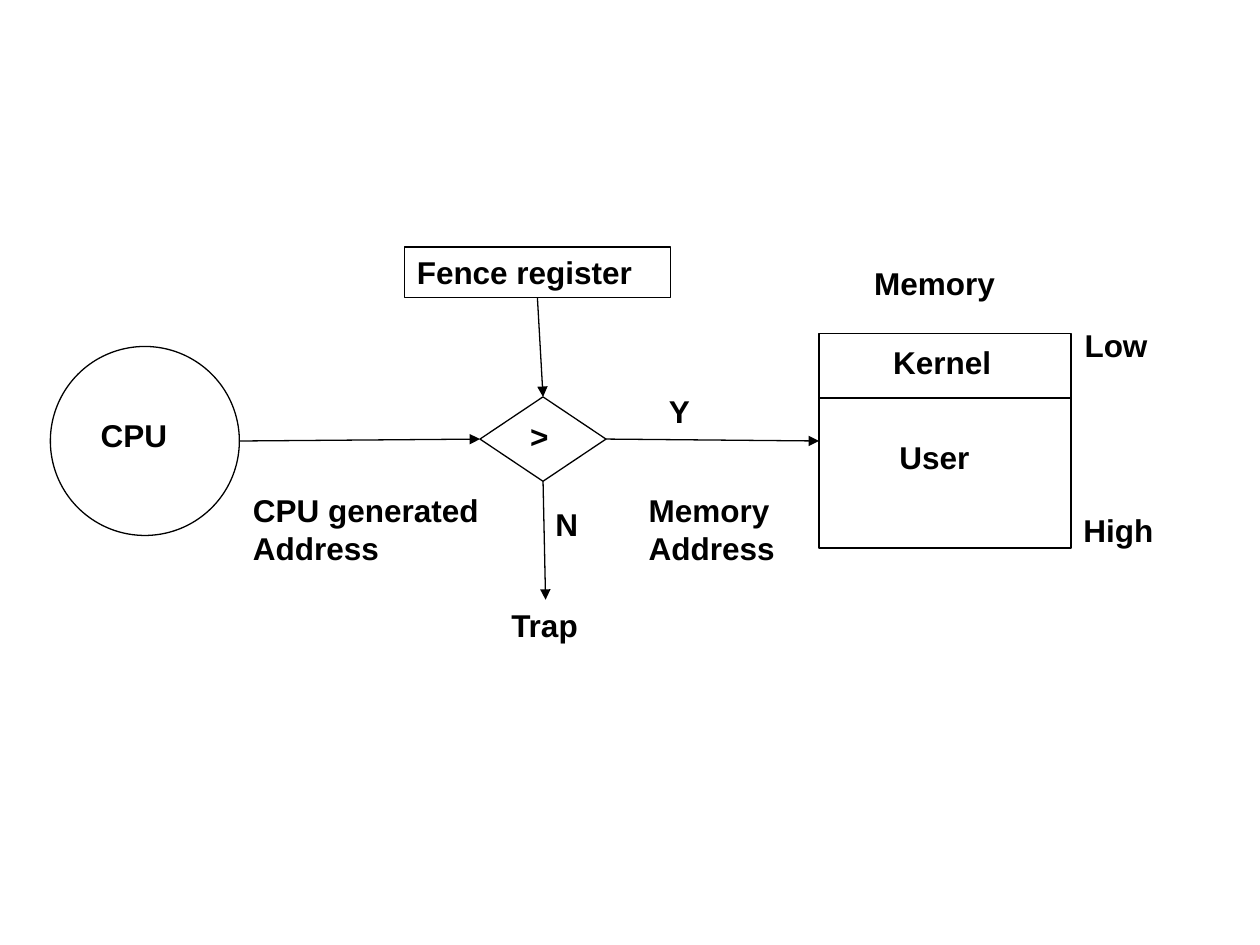
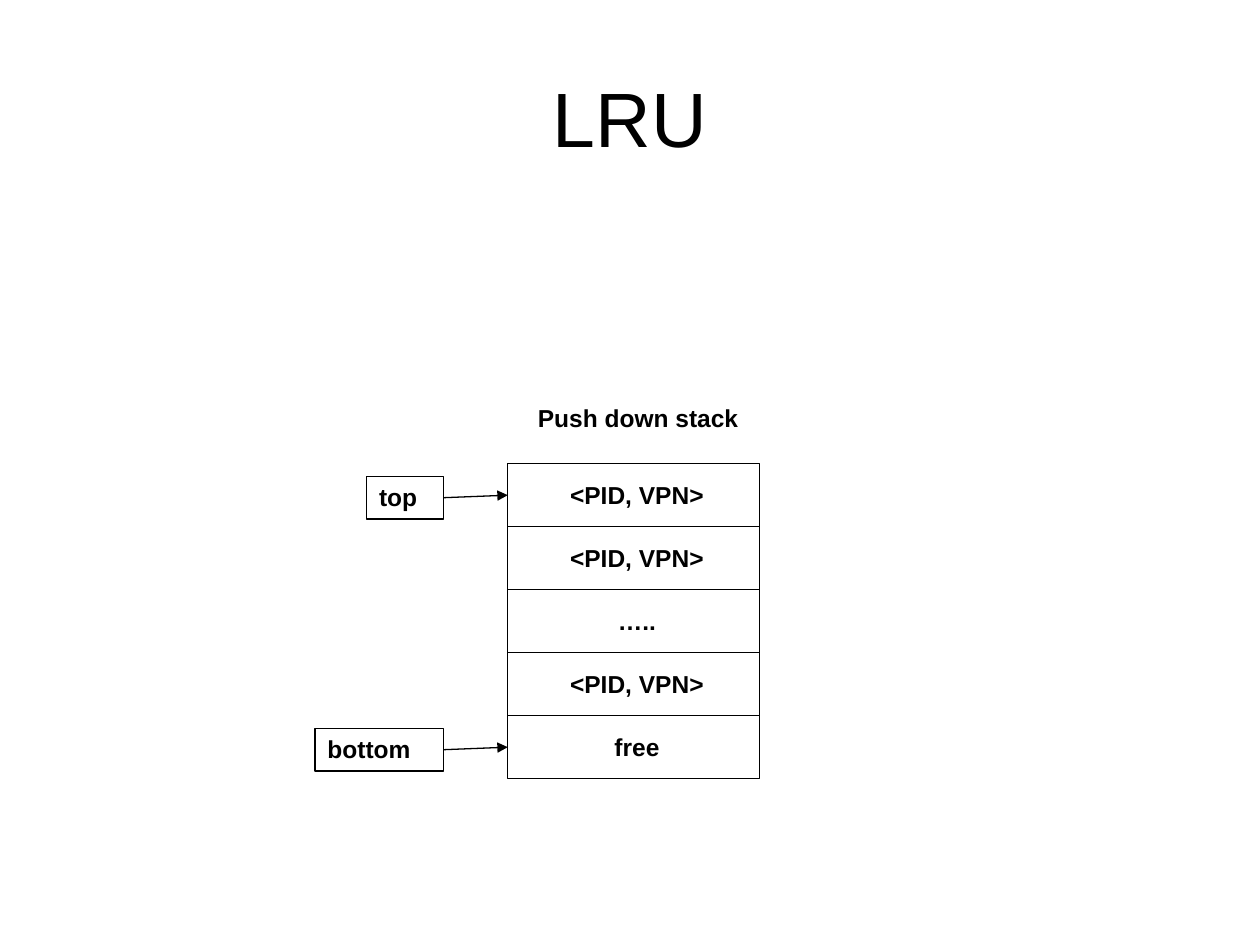
from typing import NamedTuple, Optional

from lxml import etree
from pptx import Presentation
from pptx import util as u
from pptx.dml.color import RGBColor
from pptx.enum import shapes, text
from pptx.oxml.ns import qn

BLACK = RGBColor(0x00, 0x00, 0x00)
FONT = "Arial"
THIN = u.Pt(0.75)
RECT = shapes.MSO_SHAPE.RECTANGLE
TOP, LEFT, BOTTOM, RIGHT = range(4)


class Box(NamedTuple):
    left: float
    top: float
    width: float
    height: float
    words: str = ""
    kind: shapes.MSO_SHAPE = RECT


class End(NamedTuple):
    x: float = 0
    y: float = 0
    shape: Optional[object] = None
    side: int = TOP


def write(shape, words: str, size: int = 18, bold: bool = True,
          align=text.PP_ALIGN.LEFT, anchor=text.MSO_ANCHOR.TOP,
          grow: bool = True, inset: float = 0.1) -> None:
    frame = shape.text_frame
    frame.text = words
    frame.word_wrap = not grow
    frame.auto_size = (text.MSO_AUTO_SIZE.SHAPE_TO_FIT_TEXT if grow
                       else text.MSO_AUTO_SIZE.NONE)
    frame.vertical_anchor = anchor
    frame.margin_left = u.Inches(inset)
    for line in frame.paragraphs:
        line.alignment = align
        font = line.font
        font.name, font.size, font.bold = FONT, u.Pt(size), bold
        font.color.rgb = BLACK


def place(box: Box) -> list:
    return [u.Inches(n) for n in box[:4]]


def label(slide, box: Box, size: int = 18):
    shape = slide.shapes.add_textbox(*place(box))
    write(shape, box.words, size=size)
    return shape


def outline(slide, box: Box, **style):
    shape = slide.shapes.add_shape(box.kind, *place(box))
    shape.shadow.inherit = False
    shape.fill.background()
    shape.line.color.rgb = BLACK
    shape.line.width = THIN
    if box.words:
        write(shape, box.words, **style)
    return shape


def link(slide, start: End, stop: End, arrow: bool = True) -> None:
    line = slide.shapes.add_connector(
        shapes.MSO_CONNECTOR.STRAIGHT,
        *[u.Inches(n) for n in (start.x, start.y, stop.x, stop.y)])
    if start.shape is not None:
        line.begin_connect(start.shape, start.side)
    if stop.shape is not None:
        line.end_connect(stop.shape, stop.side)
    line.line.color.rgb = BLACK
    line.line.width = THIN
    if arrow:
        tail = etree.SubElement(line.line._get_or_add_ln(), qn("a:tailEnd"))
        tail.set("type", "triangle")
    etree.SubElement(line._element.spPr, qn("a:effectLst"))


def draw_fence(deck) -> None:
    slide = deck.slides.add_slide(deck.slide_layouts[6])
    outline(slide, Box(0.4, 2.75, 1.5, 1.5, kind=shapes.MSO_SHAPE.OVAL))
    memory = outline(slide, Box(6.5, 2.65, 2, 1.7))
    test = outline(slide, Box(3.81, 3.15, 1, 0.67,
                              kind=shapes.MSO_SHAPE.FLOWCHART_DECISION))
    fence = outline(slide, Box(3.21, 1.96, 2.11, 0.4, "Fence register"))
    trap = label(slide, Box(3.96, 4.76, 0.74, 0.4, "Trap"))
    for box in (
        Box(0.7, 3.25, 0.73, 0.4, "CPU"),
        Box(6.84, 2.05, 1.36, 0.4, "Memory"),
        Box(1.91, 3.85, 2.2, 0.7, "CPU generated\nAddress"),
        Box(5.05, 3.85, 1.36, 0.7, "Memory\nAddress"),
        Box(4.11, 3.26, 0.34, 0.4, ">"),
        Box(5.21, 3.06, 0.43, 0.4, "Y"),
        Box(4.31, 3.96, 0.45, 0.4, "N"),
        Box(6.99, 2.67, 1.11, 0.4, "Kernel"),
        Box(7.04, 3.43, 0.96, 0.4, "User"),
        Box(8.51, 2.54, 0.84, 0.4, "Low"),
        Box(8.5, 4.01, 0.89, 0.4, "High"),
    ):
        label(slide, box)
    link(slide, End(1.9, 3.5), End(shape=test, side=LEFT))
    link(slide, End(shape=test, side=RIGHT), End(shape=memory, side=LEFT))
    link(slide, End(shape=fence, side=BOTTOM), End(shape=test, side=TOP))
    link(slide, End(shape=test, side=BOTTOM), End(shape=trap, side=TOP))
    link(slide, End(6.5, 3.16), End(8.5, 3.16), arrow=False)


def draw_stack(deck) -> None:
    slide = deck.slides.add_slide(deck.slide_layouts[5])
    title = slide.shapes.title
    title.left, title.top, title.width, title.height = place(
        Box(0.5, 0.3, 9, 1.25))
    write(title, "LRU", size=44, bold=False, grow=False,
          align=text.PP_ALIGN.CENTER, anchor=text.MSO_ANCHOR.MIDDLE)
    label(slide, Box(4.17, 3.15, 1.79, 0.34, "Push down stack"), size=14)
    entry = "<PID, VPN>"
    cells = [
        outline(slide, Box(4.03, 3.68 + 0.5 * row, 2, 0.5, words),
                size=14, grow=False, inset=0.15,
                align=text.PP_ALIGN.CENTER, anchor=text.MSO_ANCHOR.MIDDLE)
        for row, words in enumerate((entry, entry, "…..", entry, "free"))
    ]
    for box, cell in ((Box(2.91, 3.78, 0.61, 0.34, "top"), cells[0]),
                      (Box(2.5, 5.78, 1.02, 0.34, "bottom"), cells[-1])):
        mark = outline(slide, box, size=14)
        link(slide, End(shape=mark, side=RIGHT), End(shape=cell, side=LEFT))


def main() -> None:
    deck = Presentation()
    deck.slide_width, deck.slide_height = u.Inches(10), u.Inches(7.5)
    draw_fence(deck)
    draw_stack(deck)
    deck.save("out.pptx")


if __name__ == "__main__":
    main()
